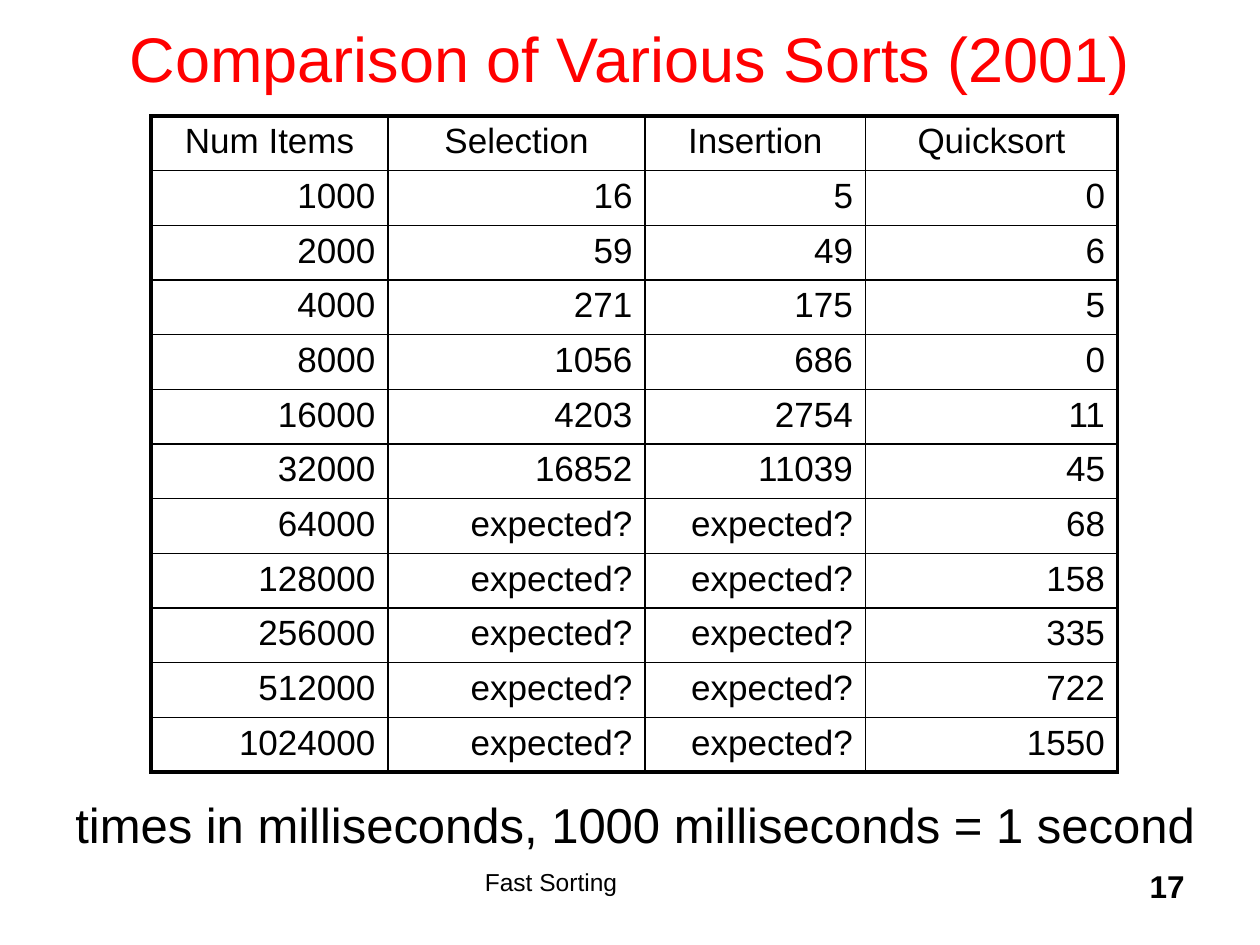
from dataclasses import dataclass

import lxml.etree
import pptx
import pptx.dml.color
import pptx.enum.text
import pptx.oxml.ns
import pptx.util

Inches = pptx.util.Inches
Pt = pptx.util.Pt
Align = pptx.enum.text.PP_ALIGN
Anchor = pptx.enum.text.MSO_ANCHOR


@dataclass(frozen=True)
class Theme:
    font: str = "Arial"
    ink: str = "000000"
    title_color: str = "FF0000"
    title_size: int = 36
    caption_size: int = 28
    table_size: int = 20
    number_size: int = 18
    footer_size: int = 14
    outer_line: float = 2.25
    inner_line: float = 1


THEME = Theme()
HEADERS = ["Num Items", "Selection", "Insertion", "Quicksort"]
SELECTION = [16, 59, 271, 1056, 4203, 16852]
INSERTION = [5, 49, 175, 686, 2754, 11039]
QUICKSORT = [0, 6, 5, 0, 11, 45, 68, 158, 335, 722, 1550]
COLUMN_WIDTHS = [1.88, 2.04, 1.75, 2]
TABLE_HEIGHT = 5.21


def timing_rows():
    rows = [HEADERS]
    for index, quicksort in enumerate(QUICKSORT):
        slow = [times[index] if index < len(times) else "expected?"
                for times in (SELECTION, INSERTION)]
        rows.append([1000 * 2 ** index, *slow, quicksort])
    return rows


def write(frame, text, size, color=THEME.ink, align=Align.LEFT, bold=False):
    frame.text = str(text)
    para = frame.paragraphs[0]
    para.alignment = align
    for span in para.runs:
        span.font.name = THEME.font
        span.font.size = Pt(size)
        span.font.bold = bold
        span.font.color.rgb = pptx.dml.color.RGBColor.from_string(color)


def place(shape, left, top, width, height):
    shape.left, shape.top = Inches(left), Inches(top)
    shape.width, shape.height = Inches(width), Inches(height)


def add_title(page, text):
    title = page.shapes.title
    place(title, 0.75, -0.17, 8.5, 1.25)
    title.text_frame.vertical_anchor = Anchor.MIDDLE
    write(title.text_frame, text, THEME.title_size, THEME.title_color, Align.CENTER)


def add_text(page, text, position, size, wrap=True, **style):
    box = page.shapes.add_textbox(*map(Inches, position))
    box.text_frame.word_wrap = wrap
    write(box.text_frame, text, size, **style)
    return box


def set_borders(cell, widths):
    properties = cell._tc.get_or_add_tcPr()
    for position, (side, width) in enumerate(widths.items()):
        line = lxml.etree.Element(pptx.oxml.ns.qn(f"a:{side}"), w=str(Pt(width)))
        fill = lxml.etree.SubElement(line, pptx.oxml.ns.qn("a:solidFill"))
        lxml.etree.SubElement(fill, pptx.oxml.ns.qn("a:srgbClr"), val=THEME.ink)
        properties.insert(position, line)


def add_timing_table(page, rows):
    last_row, last_column = len(rows) - 1, len(HEADERS) - 1
    frame = page.shapes.add_table(
        len(rows), len(HEADERS), Inches(1.2), Inches(0.92),
        Inches(sum(COLUMN_WIDTHS)), Inches(TABLE_HEIGHT))
    table = frame.table
    table.first_row = table.horz_banding = False
    for column, width in zip(table.columns, COLUMN_WIDTHS):
        column.width = Inches(width)
    for row, values in enumerate(rows):
        for column, value in enumerate(values):
            cell = table.cell(row, column)
            align = Align.CENTER if row == 0 else Align.RIGHT
            write(cell.text_frame, value, THEME.table_size, align=align)
            cell.fill.background()
            edges = {"lnL": column == 0, "lnR": column == last_column,
                     "lnT": row == 0, "lnB": row == last_row}
            set_borders(cell, {side: THEME.outer_line if outer else THEME.inner_line
                               for side, outer in edges.items()})


def main():
    deck = pptx.Presentation()
    deck.slide_width, deck.slide_height = Inches(10), Inches(7.5)
    page = deck.slides.add_slide(deck.slide_layouts[5])
    add_text(page, "Fast Sorting", (3.75, 6.83, 3.33, 0.5), THEME.footer_size)
    add_text(page, "17", (7.42, 6.83, 2.08, 0.5), THEME.number_size,
             align=Align.RIGHT, bold=True)
    add_title(page, "Comparison of Various Sorts (2001)")
    add_timing_table(page, timing_rows())
    caption = add_text(page, "times in milliseconds, 1000 milliseconds = 1 second",
                       (0.5, 6.26, 9.2, 0.57), THEME.caption_size, wrap=False)
    caption.text_frame.auto_size = pptx.enum.text.MSO_AUTO_SIZE.SHAPE_TO_FIT_TEXT
    caption.text_frame.paragraphs[0].space_before = Pt(4)
    deck.save("out.pptx")


if __name__ == "__main__":
    main()
